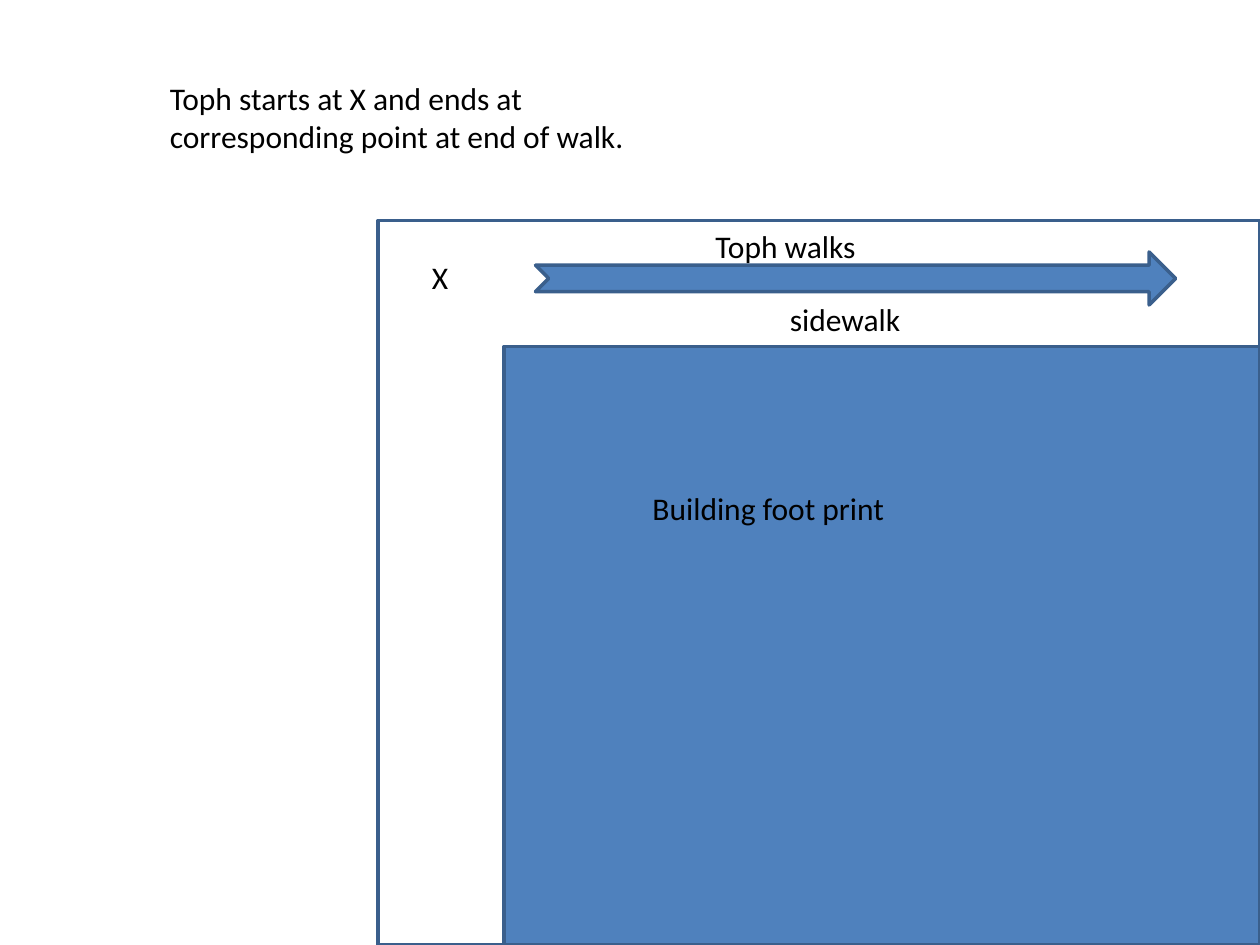
from dataclasses import dataclass

from pptx import Presentation
from pptx.dml.color import RGBColor
from pptx.enum.shapes import MSO_SHAPE
from pptx.enum.text import MSO_AUTO_SIZE
from pptx.util import Inches, Pt

RECTANGLE = MSO_SHAPE.RECTANGLE
NOTCHED_ARROW = MSO_SHAPE.NOTCHED_RIGHT_ARROW
GROW_TO_FIT = MSO_AUTO_SIZE.SHAPE_TO_FIT_TEXT

PAGE_WIDTH, PAGE_HEIGHT = 10, 7.5
SIDEWALK_LEFT, SIDEWALK_TOP, SIDEWALK_WIDTH = 3, 1.75, 1
BLANK_LAYOUT = 6


@dataclass(frozen=True)
class Theme:
    font: str = "Calibri"
    text_size: int = 18
    line_width: int = 2
    text: RGBColor = RGBColor(0x00, 0x00, 0x00)
    fill: RGBColor = RGBColor(0x4F, 0x81, 0xBD)
    outline: RGBColor = RGBColor(0x3A, 0x5F, 0x8C)


THEME = Theme()


def add_outlined_shape(page, kind, left, top, width, height, fill=None):
    shape = page.shapes.add_shape(
        kind, Inches(left), Inches(top), Inches(width), Inches(height))
    shape.shadow.inherit = False
    if fill is None:
        shape.fill.background()
    else:
        shape.fill.solid()
        shape.fill.fore_color.rgb = fill
    shape.line.color.rgb = THEME.outline
    shape.line.width = Pt(THEME.line_width)
    return shape


def add_text(page, text, *, left, top, width, height=0.4,
             size=THEME.text_size, color=THEME.text):
    box = page.shapes.add_textbox(
        Inches(left), Inches(top), Inches(width), Inches(height))
    frame = box.text_frame
    frame.word_wrap = True
    frame.auto_size = GROW_TO_FIT
    span = frame.paragraphs[0].add_run()
    span.text = text
    span.font.name = THEME.font
    span.font.size = Pt(size)
    span.font.color.rgb = color
    return box


def add_corner_area(page, left, top, fill=None):
    """Add a rectangle that reaches the page's bottom right corner."""
    return add_outlined_shape(page, RECTANGLE, left, top,
                              PAGE_WIDTH - left, PAGE_HEIGHT - top, fill)


def main():
    deck = Presentation()
    deck.slide_width, deck.slide_height = Inches(PAGE_WIDTH), Inches(PAGE_HEIGHT)
    page = deck.slides.add_slide(deck.slide_layouts[BLANK_LAYOUT])

    # Building, with the sidewalk's outer edge around it
    add_corner_area(page, SIDEWALK_LEFT + SIDEWALK_WIDTH,
                    SIDEWALK_TOP + SIDEWALK_WIDTH, THEME.fill)
    add_corner_area(page, SIDEWALK_LEFT, SIDEWALK_TOP)
    add_text(page, "Building foot print", left=5.08, top=3.83, width=2.75)
    add_text(page, "sidewalk", left=6.17, top=2.33, width=2.17, height=0.42)

    # Starting point and walk
    add_text(page, "X", left=3.33, top=2, width=0.33)
    add_outlined_shape(page, NOTCHED_ARROW, 4.25, 2, 5.08, 0.42, THEME.fill)
    add_text(page, "Toph walks", left=5.58, top=SIDEWALK_TOP, width=2.83)

    # Explanation
    add_text(page, "Toph starts at X and ends at corresponding point at end of walk.",
             left=1.25, top=0.58, width=4.33, height=0.71)

    deck.save("out.pptx")


if __name__ == "__main__":
    main()
